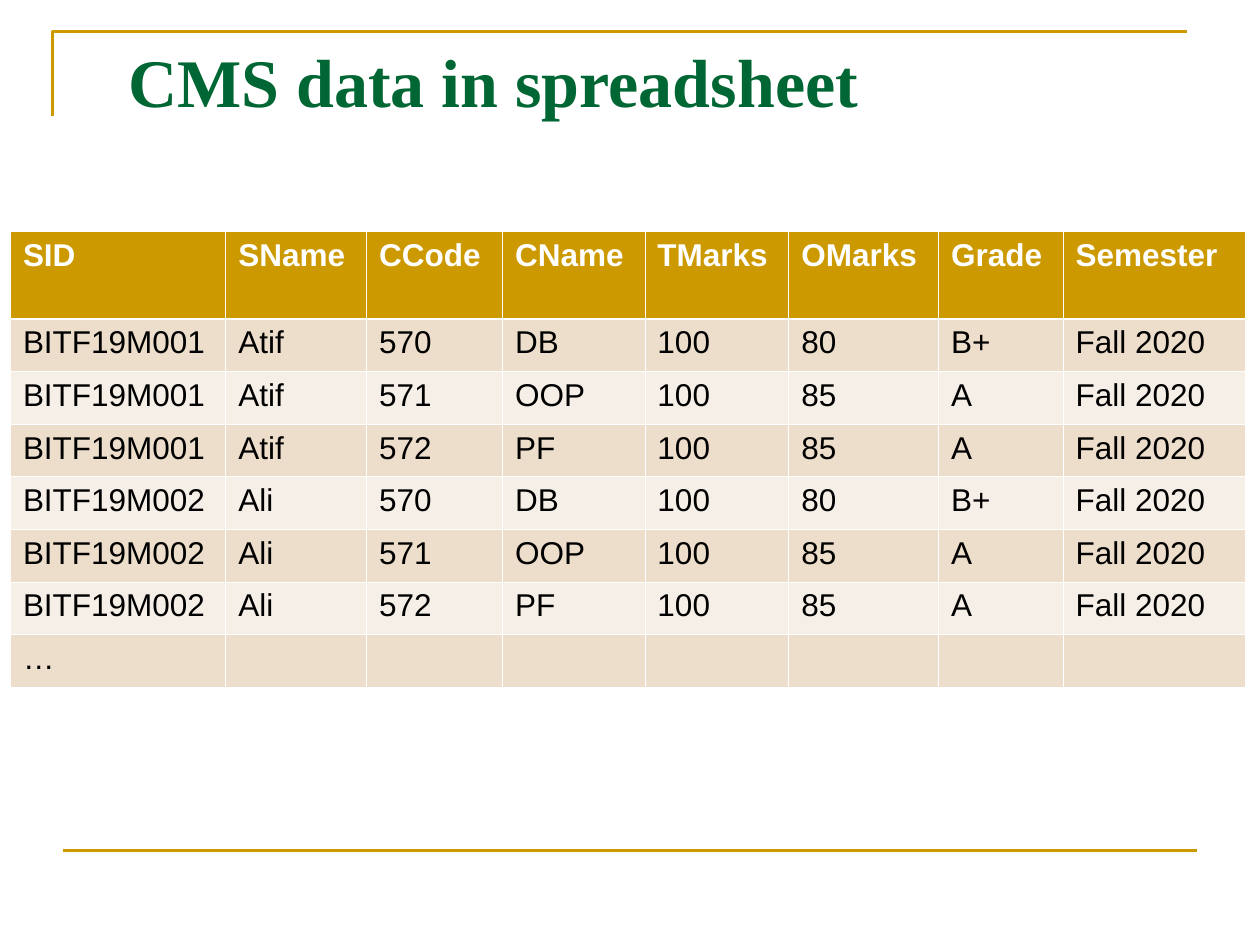
import pptx
import pptx.dml.color
import pptx.enum.shapes
import pptx.enum.text
import pptx.oxml
import pptx.oxml.ns
import pptx.util
import lxml.etree

Cm = pptx.util.Cm
Pt = pptx.util.Pt
RGBColor = pptx.dml.color.RGBColor
qn = pptx.oxml.ns.qn

GOLD = RGBColor(0xCC, 0x99, 0x00)
GREEN = RGBColor(0x00, 0x66, 0x33)
WHITE = RGBColor(0xFF, 0xFF, 0xFF)
BLACK = RGBColor(0x00, 0x00, 0x00)
BAND_DARK = RGBColor(0xEC, 0xDE, 0xCB)
BAND_LIGHT = RGBColor(0xF6, 0xEF, 0xE7)

HEADERS = ["SID", "SName", "CCode", "CName", "TMarks", "OMarks", "Grade", "Semester"]
STUDENTS = [("BITF19M001", "Atif"), ("BITF19M002", "Ali")]
COURSES = [
    ("570", "DB", "100", "80", "B+"),
    ("571", "OOP", "100", "85", "A"),
    ("572", "PF", "100", "85", "A"),
]
COL_WIDTHS = [4.34, 2.84, 2.74, 2.87, 2.9, 3.02, 2.51, 3.68]
HEADER_HEIGHT = 1.77
ROW_HEIGHT = 1.06
THIN = 0.45
THICK = 1.47


def add_frame(slide, left, top, width, height):
    corner_drop = 1.7
    fb = slide.shapes.build_freeform(Cm(left), Cm(top + corner_drop))
    fb.add_line_segments(
        [(Cm(left), Cm(top)), (Cm(left + width), Cm(top))], close=False
    )
    corner = fb.convert_to_shape()
    corner.shadow.inherit = False
    corner.fill.background()

    x, y = left + 0.2, top + height
    rule = slide.shapes.add_connector(
        pptx.enum.shapes.MSO_CONNECTOR.STRAIGHT,
        Cm(x), Cm(y), Cm(x + width), Cm(y),
    )
    lxml.etree.SubElement(rule.element.spPr, qn("a:effectLst"))
    for sp in (corner, rule):
        sp.line.color.rgb = GOLD
        sp.line.width = Pt(1.5)


def add_title(slide, left, top, width, height):
    sp = slide.shapes.title
    sp.left, sp.top, sp.width, sp.height = map(Cm, (left, top, width, height))
    tf = sp.text_frame
    tf.text = "CMS data in spreadsheet"
    tf.word_wrap = True
    tf.auto_size = pptx.enum.text.MSO_AUTO_SIZE.NONE
    tf.vertical_anchor = pptx.enum.text.MSO_ANCHOR.TOP
    p = tf.paragraphs[0]
    p.alignment = pptx.enum.text.PP_ALIGN.LEFT
    p.line_spacing = 0.9
    p.font.name = "Times New Roman"
    p.font.size = Pt(38.9)
    p.font.bold = True
    p.font.color.rgb = GREEN


def set_border(cell, side, width):
    tcPr = cell._tc.get_or_add_tcPr()
    ln = lxml.etree.SubElement(tcPr, qn("a:" + side), w=str(Pt(width)))
    fill = lxml.etree.SubElement(ln, qn("a:solidFill"))
    lxml.etree.SubElement(fill, qn("a:srgbClr"), val=str(WHITE))


def format_cell(cell, text, row):
    is_header = row == 0
    set_border(cell, "lnL", THIN)
    set_border(cell, "lnR", THIN)
    set_border(cell, "lnT", THICK if row == 1 else THIN)
    set_border(cell, "lnB", THICK if is_header else THIN)
    cell.fill.solid()
    band = BAND_DARK if row % 2 else BAND_LIGHT
    cell.fill.fore_color.rgb = GOLD if is_header else band
    cell.text = text
    p = cell.text_frame.paragraphs[0]
    p.font.name = "Arial"
    p.font.size = Pt(18)
    p.font.bold = is_header
    p.font.color.rgb = WHITE if is_header else BLACK


def add_marks_table(slide, left, top):
    records = [
        [*student, *course, "Fall 2020"] for student in STUDENTS for course in COURSES
    ]
    rows = [HEADERS, *records, ["…"] + [""] * (len(HEADERS) - 1)]
    heights = [HEADER_HEIGHT] + [ROW_HEIGHT] * (len(rows) - 1)
    table = slide.shapes.add_table(
        len(rows), len(HEADERS), Cm(left), Cm(top),
        Cm(sum(COL_WIDTHS)), Cm(sum(heights)),
    ).table
    table.first_row = False
    table.horz_banding = False
    for column, width in zip(table.columns, COL_WIDTHS):
        column.width = Cm(width)
    for r, (values, height) in enumerate(zip(rows, heights)):
        table.rows[r].height = Cm(height)
        for c, text in enumerate(values):
            format_cell(table.cell(r, c), text, r)


def main():
    prs = pptx.Presentation()
    prs.slide_width = Cm(25.4)
    prs.slide_height = Cm(19.05)
    slide = prs.slides.add_slide(prs.slide_layouts[5])
    add_frame(slide, 1.06, 0.64, 22.86, 16.51)
    add_marks_table(slide, 0.21, 4.66)
    add_title(slide, 2.33, 0.85, 18.42, 2.33)
    prs.save("out.pptx")


if __name__ == "__main__":
    main()
